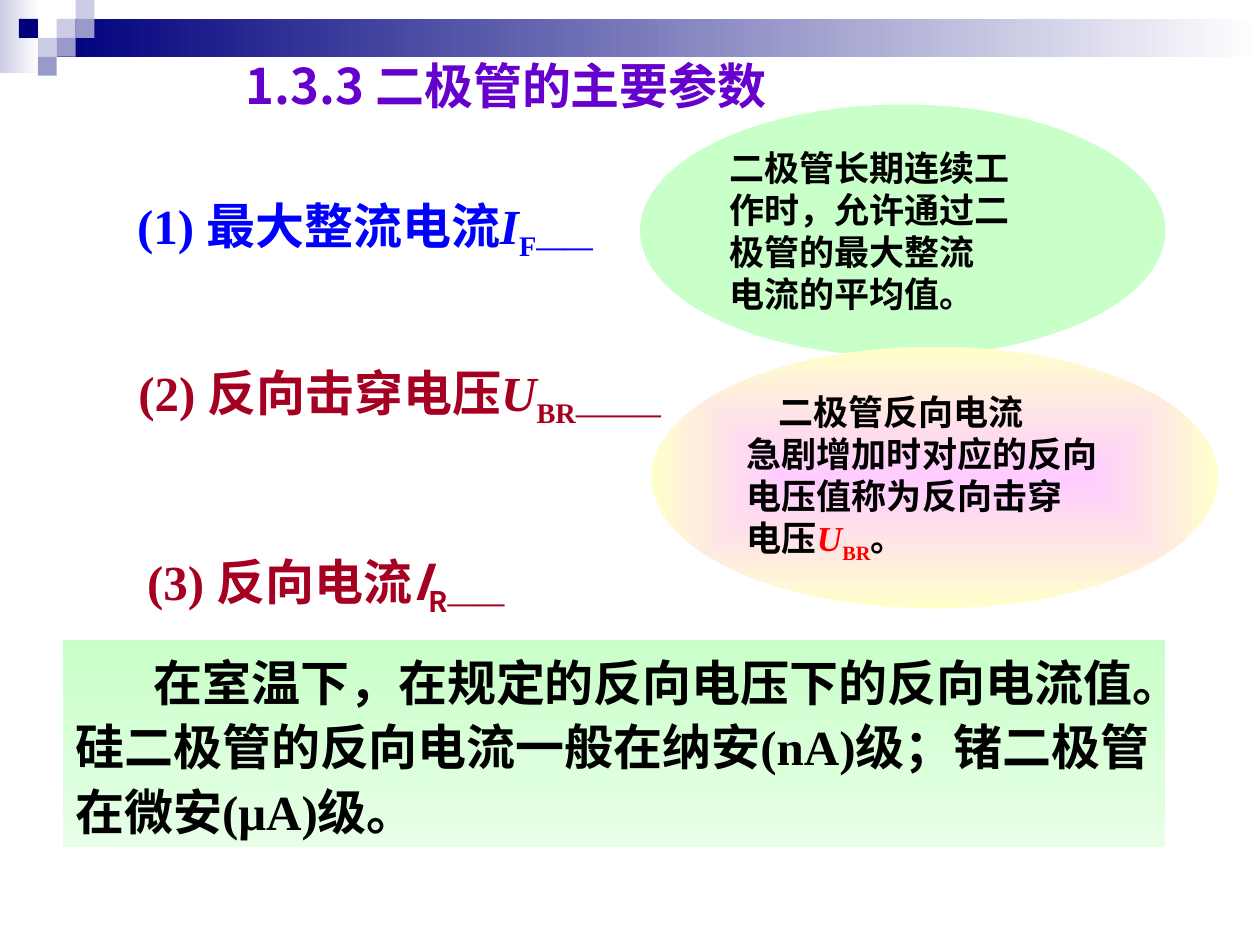
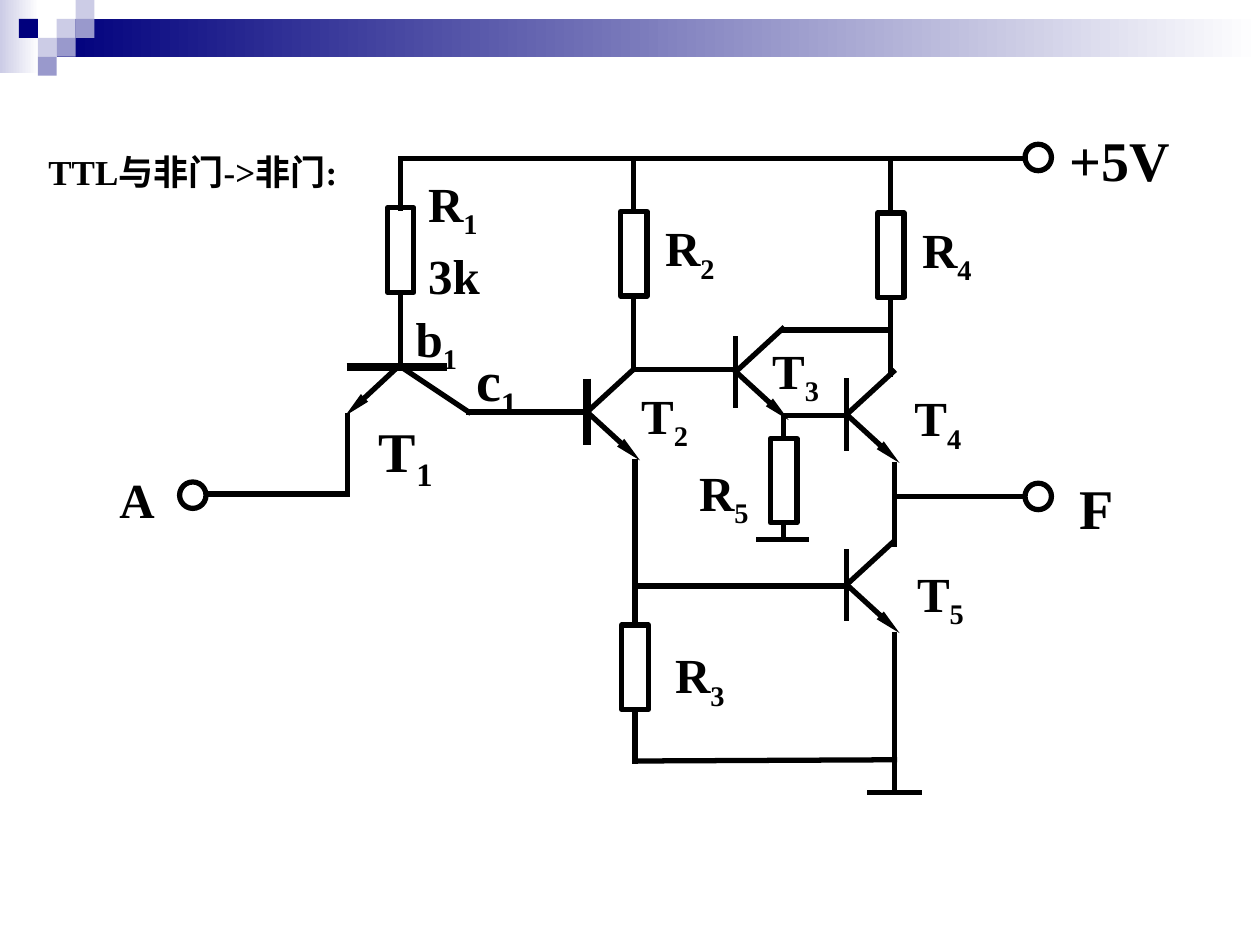
from dataclasses import dataclass
from lxml.etree import SubElement as Sub
from pptx import Presentation
from pptx.dml.color import RGBColor as Rgb
from pptx.enum.shapes import MSO_CONNECTOR as Link, MSO_SHAPE as Kind
from pptx.enum.text import MSO_ANCHOR as Anchor, MSO_AUTO_SIZE as Fit, PP_ALIGN as Align
from pptx.oxml.ns import qn
from pptx.util import Inches, Pt

COLS, ROWS = 100, 75


@dataclass(frozen=True)
class Theme:
    latin: str = "Times New Roman"
    cjk: str = "Noto Sans CJK SC"
    black: str = "000000"
    white: str = "FFFFFF"
    navy: str = "00007D"
    mid: str = "9999CC"
    pale: str = "CCCCE6"
    violet: str = "6600CC"
    blue: str = "0000FF"
    wine: str = "A50021"
    red: str = "FF0000"
    green: str = "C9FFC9"
    mint: str = "E6FFE6"
    pink: str = "FFCCFF"
    cream: str = "FFFFCC"
    big: int = 32
    head: int = 28
    body: int = 20
    thin: float = 3
    thick: float = 4.5


T = Theme()


def put(para, text, size=T.head, color=T.black, bold=True, italic=False,
        sub=False, face=T.latin):
    """Append one formatted run to a paragraph."""
    run = para.add_run()
    run.text = text
    font = run.font
    font.size, font.bold, font.italic = Pt(size), bold, italic
    font.color.rgb = Rgb.from_string(color)
    font.name = face
    props = run._r.get_or_add_rPr()
    Sub(props, qn("a:ea")).set("typeface", T.cjk)
    if sub:
        props.set("baseline", "-25000")


class Deck:
    def __init__(self):
        self.prs = Presentation()
        self.prs.slide_width, self.prs.slide_height = Inches(10), Inches(7.5)
        self.slide = None

    def grid(self, *vals):
        """Turn x, y, x, y ... in columns and rows into lengths."""
        units = self.prs.slide_width / COLS, self.prs.slide_height / ROWS
        return [round(v * units[i % 2]) for i, v in enumerate(vals)]

    def page(self):
        self.slide = self.prs.slides.add_slide(self.prs.slide_layouts[5])
        self.band()

    def band(self):
        side = 1.5
        self.shape(Kind.RECTANGLE, (0, 0, 3.1, 5.8), (T.pale, T.white))
        self.shape(Kind.RECTANGLE, (4.5, 1.5, 95.5, 3), (T.navy, T.white))
        tiles = [(3, 1, T.pale), (4, 0, T.pale), (4, 1, T.mid), (2, 2, T.pale),
                 (1, 1, T.navy), (3, 2, T.mid), (2, 3, T.mid)]
        for col, row, color in tiles:
            self.shape(Kind.RECTANGLE, (col * side, row * side, side, side), color)

    def title(self, text, box, align=Align.LEFT, anchor=Anchor.TOP, **fmt):
        hold = self.slide.shapes.title
        hold.left, hold.top, hold.width, hold.height = self.grid(*box)
        frame = self.frame(hold, anchor)
        frame.paragraphs[0].alignment = align
        put(frame.paragraphs[0], text, **fmt)

    def frame(self, shape, anchor=Anchor.TOP):
        frame = shape.text_frame
        frame.word_wrap, frame.auto_size = True, Fit.NONE
        frame.vertical_anchor = anchor
        return frame

    def lay(self, frame, lines, **base):
        """Fill a frame; a line is a list of (text, format) pairs."""
        for i, line in enumerate(lines):
            para = frame.add_paragraph() if i else frame.paragraphs[0]
            para.alignment = Align.LEFT
            for text, fmt in line:
                put(para, text, **{**base, **fmt})

    def text(self, box, *lines, **base):
        shape = self.slide.shapes.add_textbox(*self.grid(*box))
        self.lay(self.frame(shape), lines, **base)

    def shape(self, kind, box, fill=None, turn=0, line=None):
        """Draw a preset shape; a pair of colours as fill makes a gradient."""
        shape = self.slide.shapes.add_shape(kind, *self.grid(*box))
        shape.shadow.inherit = False
        if fill is None:
            shape.fill.background()
        elif isinstance(fill, str):
            shape.fill.solid()
            shape.fill.fore_color.rgb = Rgb.from_string(fill)
        else:
            shape.fill.gradient()
            shape.fill.gradient_angle = turn
            for stop, color in zip(shape.fill.gradient_stops, fill):
                stop.color.rgb = Rgb.from_string(color)
        if line:
            shape.line.color.rgb = Rgb.from_string(T.black)
            shape.line.width = Pt(line)
        else:
            shape.line.fill.background()
        return shape

    def glow(self, shape):
        """Make a gradient spread from the centre of its shape."""
        grad = shape._element.spPr.find(qn("a:gradFill"))
        grad.remove(grad.find(qn("a:lin")))
        route = Sub(grad, qn("a:path"))
        route.set("path", "shape")
        rect = Sub(route, qn("a:fillToRect"))
        for side in "ltrb":
            rect.set(side, "50000")

    def wire(self, *pts, width=T.thin, arrow=False):
        """Join the points in turn with straight lines."""
        for start, end in zip(pts, pts[1:]):
            link = self.slide.shapes.add_connector(
                Link.STRAIGHT, *self.grid(*start, *end))
            link.line.color.rgb = Rgb.from_string(T.black)
            link.line.width = Pt(width)
            props = link._element.spPr
            edge = props.find(qn("a:ln"))
            if arrow:
                tip = Sub(edge, qn("a:tailEnd"))
                for key, val in (("type", "triangle"), ("w", "sm"), ("len", "lg")):
                    tip.set(key, val)
            elif width == T.thin:
                edge.set("cap", "sq")
            Sub(props, qn("a:effectLst"))

    def npn(self, x, y, width=T.thin):
        """Draw a transistor whose base meets its bar at x, y."""
        self.wire((x, y - 2.65), (x, y + 2.65), width=width)
        self.wire((x, y), (x + 4.2, y + 3.85), arrow=True)
        self.wire((x, y), (x + 3.7, y - 3.4))

    def ohm(self, x, y):
        """Draw a resistor with its top centre at x, y."""
        self.shape(Kind.RECTANGLE, (x - 1.05, y, 2.1, 6.7), line=T.thin)

    def pin(self, x, y):
        self.shape(Kind.OVAL, (x - 1.05, y - 1.05, 2.1, 2.1), line=T.thin)

    def label(self, text, x, y, size=T.head):
        """Set a name; what follows an underscore is set low."""
        name, _, low = text.partition("_")
        runs = [(name, {})] + ([(low, {"sub": True})] if low else [])
        self.text((x, y, 13, 5.7), runs, size=size)


def ratings(deck):
    deck.page()
    deck.title("1.3.3 二极管的主要参数", (18.5, 3.9, 49.8, 5.7),
               color=T.violet, face=T.cjk)
    slant, low = {"italic": True}, {"sub": True}
    deck.text((9.9, 15, 45, 5.7),
              [("(1) 最大整流电流", {}), ("I", slant), ("F——", low)], color=T.blue)

    mean = deck.shape(Kind.OVAL, (50.8, 8.3, 41.7, 20), T.green)
    lines = ["二极管长期连续工", "作时，允许通过二", "极管的最大整流", "电流的平均值。"]
    deck.lay(deck.frame(mean, Anchor.MIDDLE),
             [[(line, {})] for line in lines], size=T.body)

    deck.text((10, 28.3, 47, 5.7),
              [("(2) 反向击穿电压", {}), ("U", slant), ("BR———", low)], color=T.wine)

    peak = deck.shape(Kind.OVAL, (51.7, 27.5, 45, 20.8), (T.pink, T.cream))
    deck.glow(peak)
    frame = deck.frame(peak, Anchor.MIDDLE)
    lines = ["二极管反向电流", "急剧增加时对应的反向", "电压值称为反向击穿"]
    mark = [("电压", {}), ("U", {"color": T.red, **slant}),
            ("BR", {"color": T.red, **low}), ("。", {})]
    deck.lay(frame, [[(line, {})] for line in lines] + [mark], size=T.body)
    frame.paragraphs[0]._p.get_or_add_pPr().set("indent", str(Inches(0.25)))

    sans = {"face": T.cjk}
    deck.text((10.7, 43.3, 43, 5.7),
              [("(3) ", {}), ("反向电流", sans), ("I", {**sans, **slant}),
               ("R", {**sans, **low}), ("——", low)], color=T.wine)

    note = deck.shape(Kind.RECTANGLE, (5, 50.8, 87.5, 16.4), (T.green, T.mint), turn=270)
    frame = deck.frame(note)
    deck.lay(frame, [[("在室温下，在规定的反向电压下的反向电流值。硅二极管的反向电流"
                       "一般在纳安(nA)级；锗二极管在微安(μA)级。", {})]])
    para = frame.paragraphs[0]
    para.line_spacing = 1.1
    para._p.get_or_add_pPr().set("indent", str(Inches(0.62)))


def gate(deck):
    deck.page()
    deck.title("TTL与非门->非门:", (2.5, 11.4, 25.6, 4.4), align=Align.CENTER,
               anchor=Anchor.MIDDLE, size=T.body)

    # Input transistor T1
    deck.wire((27.5, 29.1), (35.5, 29.1), width=T.thick)
    deck.wire((31.6, 29.1), (27.4, 33), arrow=True)
    deck.wire((31.8, 29.1), (37.2, 32.7), (46.6, 32.7))
    deck.wire((27.6, 33), (27.6, 39.2), (16.4, 39.2))

    deck.npn(46.6, 32.7, width=T.thick)
    for x, y in [(58.4, 29.5), (67.2, 32.9), (67.2, 46.4)]:
        deck.npn(x, y)
    for x, y in [(31.8, 16.5), (50.3, 16.8), (50.4, 49.6), (70.7, 16.9), (62.2, 34.8)]:
        deck.ohm(x, y)
    for x, y in [(82.4, 12.5), (82.4, 39.4), (15.3, 39.3)]:
        deck.pin(x, y)

    # Supply rail and the branches below it
    deck.wire((31.8, 12.6), (81.4, 12.6))
    for x, top in [(31.8, 16.5), (50.3, 16.8), (70.7, 16.9)]:
        deck.wire((x, 12.6), (x, top))
    deck.wire((31.8, 23.2), (31.8, 29.1))
    deck.wire((50.3, 23.5), (50.3, 29.3), (58.4, 29.3))
    deck.wire((70.7, 23.6), (70.7, 29.7))
    deck.wire((62.2, 26.2), (70.7, 26.2))

    # Emitter paths, output and ground
    deck.wire((62.2, 33), (67.2, 33))
    deck.wire((62.2, 33), (62.2, 34.8))
    deck.wire((62.2, 41.5), (62.2, 42.8))
    deck.wire((60.2, 42.8), (64, 42.8))
    deck.wire((50.4, 36.6), (50.4, 49.6))
    deck.wire((50.4, 46.5), (67.2, 46.5))
    deck.wire((50.4, 56.3), (50.4, 60.4), (71, 60.3))
    deck.wire((71, 36.9), (71, 43.2))
    deck.wire((71, 39.4), (81.3, 39.4))
    deck.wire((71, 50.4), (71, 62.9))
    deck.wire((69, 62.9), (73, 62.9))

    names = [("R_4", 72.2, 16.9), ("R_2", 51.8, 16.8), ("R_1", 33, 13.3),
             ("3k", 33, 19), ("T_2", 49.9, 30.1), ("R_5", 54.5, 36.2),
             ("R_3", 52.6, 50.7), ("T_3", 60.3, 26.5), ("T_4", 71.6, 30.3),
             ("T_5", 71.8, 44.2), ("b_1", 32, 24), ("A", 8.5, 36.8)]
    for name in names:
        deck.label(*name)
    for name in [("+5V", 83.9, 9.5), ("F", 84.7, 37.1),
                 ("T_1", 29.1, 32.6), ("c_1", 36.8, 26.9)]:
        deck.label(*name, size=T.big)


def main():
    deck = Deck()
    ratings(deck)
    gate(deck)
    deck.prs.save("out.pptx")


if __name__ == "__main__":
    main()
